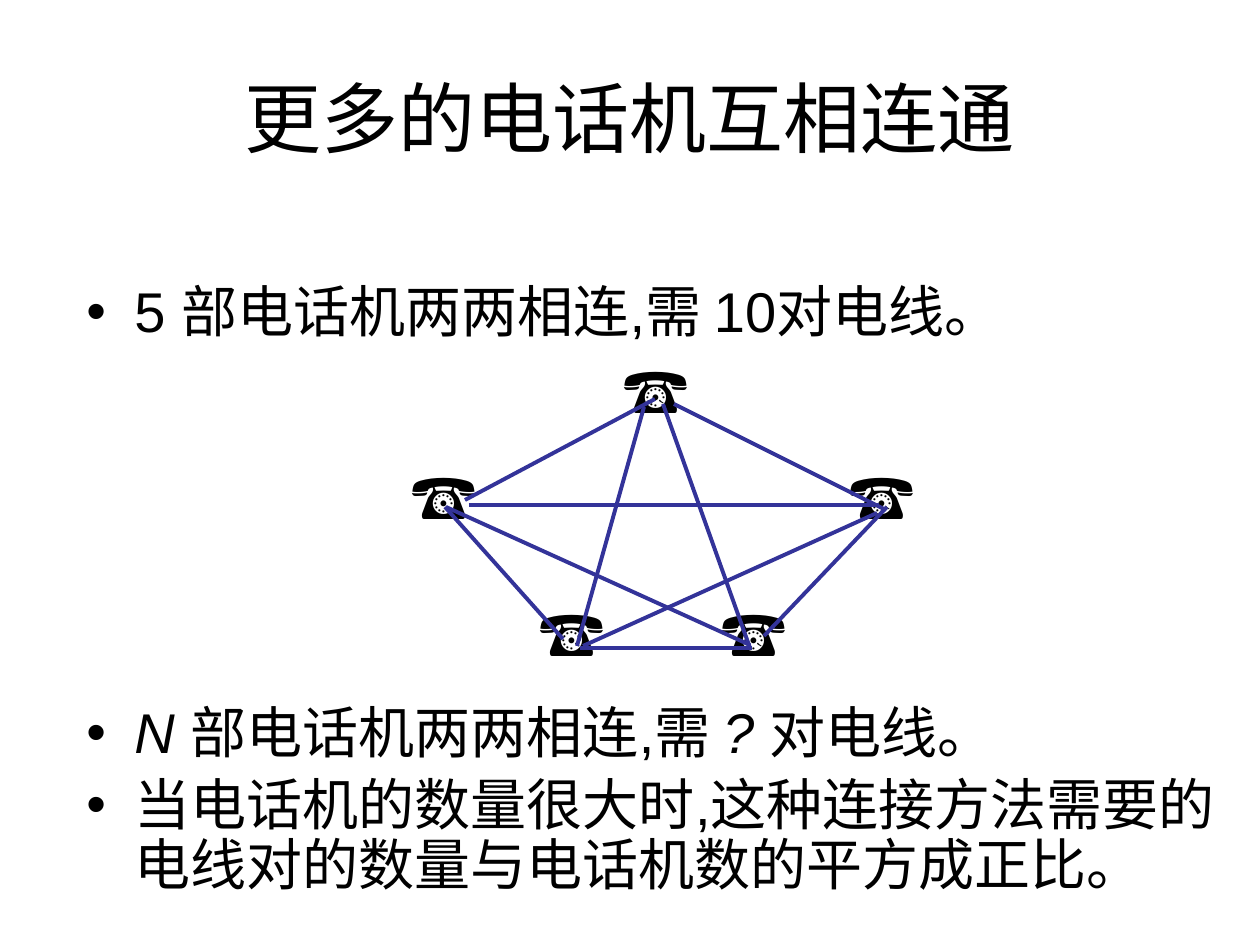
from pptx import Presentation
from pptx.dml.color import RGBColor as Color
from pptx.enum.shapes import MSO_CONNECTOR as Connector
from pptx.enum.text import MSO_ANCHOR as Anchor, PP_ALIGN as Align
from pptx.oxml.ns import qn
from pptx.util import Pt
from lxml.etree import SubElement

# Content: (space before in points, [(text, italic)])
TITLE = "更多的电话机互相连通"
BULLETS = [
    (6.4, [("5 部电话机两两相连,需 10对电线。".replace(",", ","), False)]),
    (206, [("N ", True), ("部电话机两两相连,需 ", False), ("? ", True), ("对电线。", False)]),
    (6.4, [("当电话机的数量很大时,这种连接方法需要的电线对的数量与电话机数的平方成正比。", False)]),
]
PHONE = "☎"

# Places in pixels
TITLE_BOX = (63, 38, 1134, 157)
BODY_BOX = (74, 278, 1186, 667)
PHONE_SIZE = (110, 88)
PHONES = [(611, 344), (399, 450), (527, 587), (837, 450), (709, 587)]
WIRES = [
    (465, 500, 655, 399), (674, 404, 886, 510), (445, 507, 563, 639),
    (580, 648, 752, 648), (764, 636, 887, 507), (663, 404, 750, 648),
    (644, 407, 577, 646), (469, 505, 879, 505), (446, 507, 750, 645),
    (583, 646, 877, 513),
]
INDENT = 48

THEME = {
    "ink": Color.from_string("000000"),
    "wire": Color.from_string("333399"),
    "wire_width": Pt(2.25),
    "title": {"name": "Arial", "size": Pt(44)},
    "body": {"name": "Arial", "size": Pt(32)},
    "phone": {"name": "Times New Roman", "size": Pt(36)},
}


def px(value):
    return round(value * 914400 / 126)


def set_all(target, values):
    for name, value in values.items():
        setattr(target, name, value)


def add_box(page, place, anchor=Anchor.TOP):
    frame = page.shapes.add_textbox(*map(px, place)).text_frame
    set_all(frame, {"word_wrap": True, "vertical_anchor": anchor})
    return frame


def add_span(para, text, style, italic=False):
    span = para.add_run()
    span.text = text
    set_all(span.font, {**THEME[style], "italic": italic})
    span.font.color.rgb = THEME["ink"]


def add_bullet(para):
    props = para._p.get_or_add_pPr()
    props.set("marL", str(px(INDENT)))
    props.set("indent", str(-px(INDENT)))
    SubElement(props, qn("a:buFont")).set("typeface", "Arial")
    SubElement(props, qn("a:buChar")).set("char", "•")


deck = Presentation()
set_all(deck, {"slide_width": px(1260), "slide_height": px(945)})
page = deck.slides.add_slide(deck.slide_layouts[6])

# Title
para = add_box(page, TITLE_BOX, Anchor.MIDDLE).paragraphs[0]
para.alignment = Align.CENTER
add_span(para, TITLE, "title")

# Bullets, with room for the network after the first
frame = add_box(page, BODY_BOX)
for index, (before, spans) in enumerate(BULLETS):
    para = frame.add_paragraph() if index else frame.paragraphs[0]
    set_all(para, {"line_spacing": 0.9, "space_before": Pt(before)})
    add_bullet(para)
    for text, italic in spans:
        add_span(para, text, "body", italic)

# Telephones
for corner in PHONES:
    add_span(add_box(page, corner + PHONE_SIZE).paragraphs[0], PHONE, "phone")

# Wires between every two telephones
for ends in WIRES:
    wire = page.shapes.add_connector(Connector.STRAIGHT, *map(px, ends))
    wire.line.color.rgb = THEME["wire"]
    wire.line.width = THEME["wire_width"]
    SubElement(wire._element.spPr, qn("a:effectLst"))

deck.save("out.pptx")
